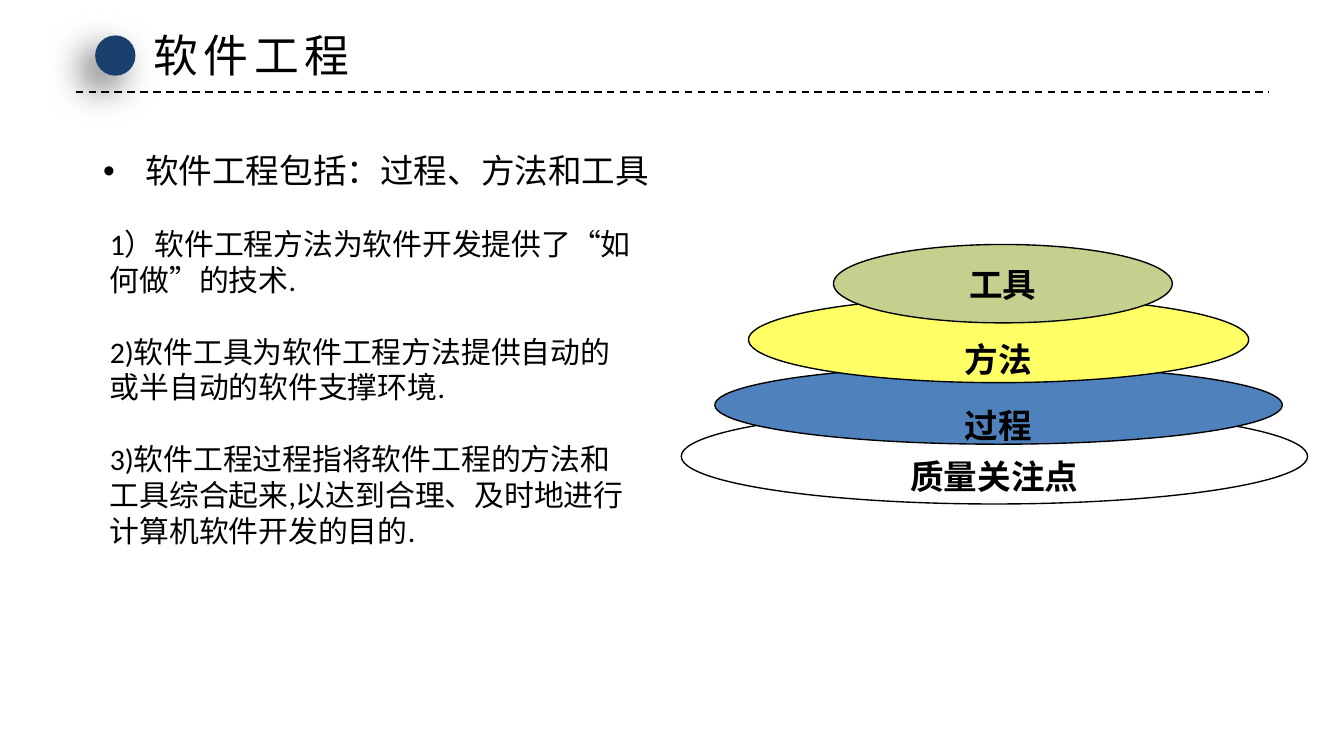
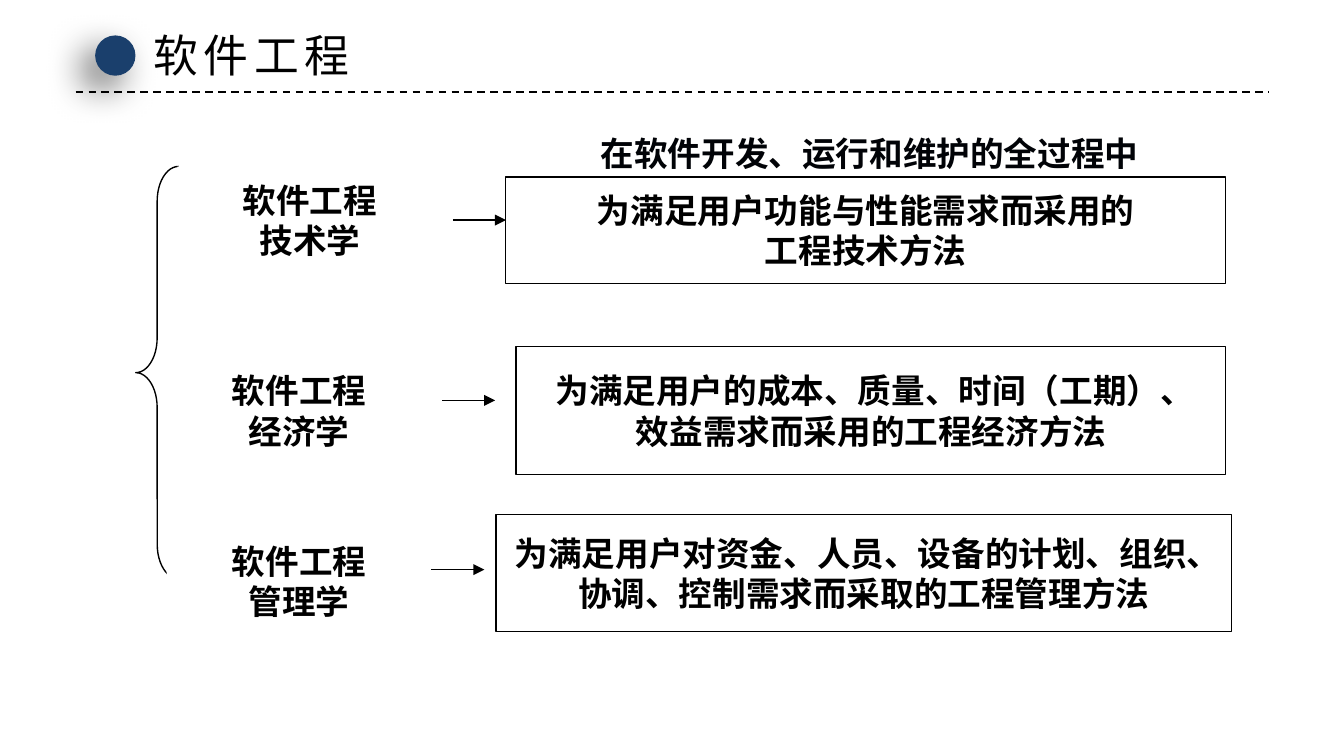
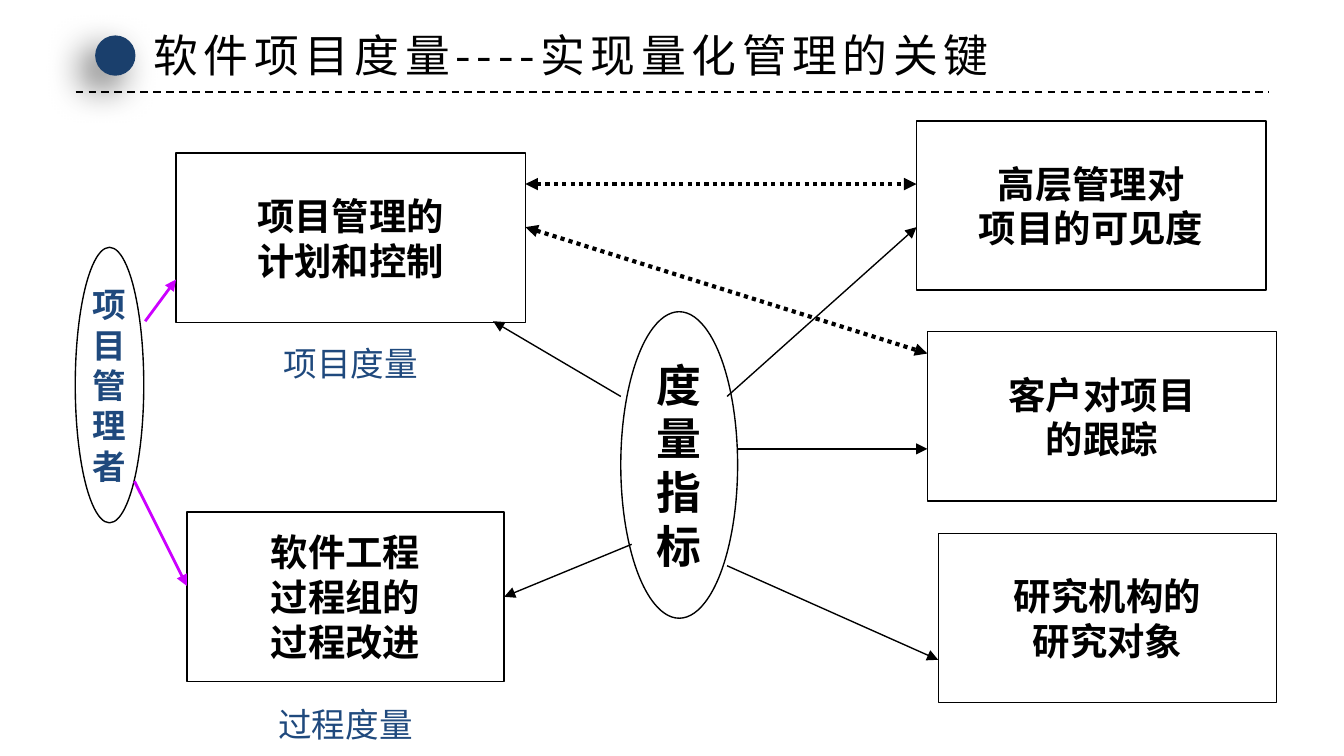
from lxml import etree
from pptx import Presentation
from pptx.dml.color import RGBColor
from pptx.enum.dml import MSO_LINE
from pptx.enum.shapes import MSO_CONNECTOR, MSO_SHAPE
from pptx.enum.text import MSO_ANCHOR, MSO_AUTO_SIZE, PP_ALIGN
from pptx.oxml.ns import qn
from pptx.util import Pt

OVAL, RECT, BRACE = MSO_SHAPE.OVAL, MSO_SHAPE.RECTANGLE, MSO_SHAPE.LEFT_BRACE
STRAIGHT = MSO_CONNECTOR.STRAIGHT
DASH, DOTS = MSO_LINE.DASH, MSO_LINE.ROUND_DOT
TOP, MIDDLE = MSO_ANCHOR.TOP, MSO_ANCHOR.MIDDLE
LEFT, CENTER, JUSTIFY = PP_ALIGN.LEFT, PP_ALIGN.CENTER, PP_ALIGN.JUSTIFY
GROW = MSO_AUTO_SIZE.SHAPE_TO_FIT_TEXT
TITLE_ONLY = 5
RIGHT_SIDE = 3

COLORS = {
    "black": "000000", "white": "FFFFFF", "ink": "010307", "navy": "1A3F6C",
    "label": "1F497D", "blue": "4F81BD", "yellow": "FFFF66",
    "olive": "C5D08E", "violet": "CC00FF",
}
NOTO, ARIAL, CALIBRI = "Noto Sans CJK SC", "Arial", "Calibri"


def color(name):
    return RGBColor.from_string(COLORS[name])


def within(box, part):
    """Turn a part's place inside the box into its place on the slide."""
    return (box[0] + part[0], box[1] + part[1], *part[2:])


def points(values):
    return [Pt(v) for v in values]


def write(frame, text, size, font, ink="black", bold=False, align=LEFT, gap=0):
    for i, line in enumerate(text.split("\n")):
        para = frame.paragraphs[0] if i == 0 else frame.add_paragraph()
        para.text = line
        para.alignment = align
        if i and gap:
            para.space_before = Pt(gap)
        para.font.size = Pt(size)
        para.font.name = font
        para.font.bold = bold
        para.font.color.rgb = color(ink)


def add_text(slide, place, text, size, font, wrap=True, **style):
    frame = slide.shapes.add_textbox(*points(place)).text_frame
    frame.word_wrap = wrap
    frame.auto_size = GROW
    write(frame, text, size, font, **style)
    return frame


def add_form(slide, kind, place, fill=None, edge="black"):
    form = slide.shapes.add_shape(kind, *points(place))
    form.shadow.inherit = False
    if fill:
        form.fill.solid()
        form.fill.fore_color.rgb = color(fill)
    else:
        form.fill.background()
    if edge:
        form.line.color.rgb = color(edge)
        form.line.width = Pt(0.75)
    else:
        form.line.fill.background()
    return form


def add_node(slide, kind, place, text, size, font, fill=None, edge="black",
             ink="black", bold=True):
    node = add_form(slide, kind, place, fill, edge)
    frame = node.text_frame
    frame.word_wrap = False
    frame.vertical_anchor = MIDDLE
    write(frame, text, size, font, ink, bold, CENTER)
    return node


def add_line(slide, start, end, ink="black", width=0.75, dash=None,
             heads=("tailEnd",)):
    line = slide.shapes.add_connector(STRAIGHT, *points((*start, *end)))
    line.line.color.rgb = color(ink)
    line.line.width = Pt(width)
    if dash:
        line.line.dash_style = dash
    props = line._element.spPr
    for head in heads:
        etree.SubElement(props.find(qn("a:ln")), qn("a:" + head), type="triangle")
    etree.SubElement(props, qn("a:effectLst"))
    return line


def add_dot(slide, place):
    dot = add_form(slide, OVAL, place, "navy", None)
    effects = dot._element.spPr.find(qn("a:effectLst"))
    shadow = etree.SubElement(
        effects, qn("a:outerShdw"), blurRad=str(Pt(20)), dist=str(Pt(10)),
        dir=str(135 * 60000), algn="tr", rotWithShape="0")
    shade = etree.SubElement(shadow, qn("a:srgbClr"), val=COLORS["black"])
    etree.SubElement(shade, qn("a:alpha"), val="60000")


def start_slide(deck, text, width):
    """Add a slide with the shared rule, dot and title."""
    slide = deck.slides.add_slide(deck.slide_layouts[TITLE_ONLY])
    add_line(slide, (40.5, 49.3), (679.5, 49.3), width=1, dash=DASH, heads=())
    add_dot(slide, (51, 19, 21.6, 21.6))
    title = slide.shapes.title
    title.left, title.top, title.width, title.height = points((75, 11, width, 36))
    frame = title.text_frame
    frame.word_wrap = False
    frame.auto_size = GROW
    frame.vertical_anchor = TOP
    write(frame, text, 24, NOTO)
    frame.paragraphs[0]._p.pPr.find(qn("a:defRPr")).set("spc", "300")
    return slide


def add_points(slide, box):
    lead = within(box, (0, 0, 623.5, 36.7))
    frame = slide.shapes.add_textbox(*points(lead)).text_frame
    frame.word_wrap = True
    frame.auto_size = GROW
    para = frame.paragraphs[0]
    para.line_spacing = 1.5
    props = para._p.get_or_add_pPr()
    props.set("marL", str(Pt(22.5)))
    props.set("indent", str(Pt(-22.5)))
    etree.SubElement(props, qn("a:buFont"), typeface=ARIAL)
    etree.SubElement(props, qn("a:buChar"), char="•")
    write(frame, "软件工程包括：过程、方法和工具", 18, NOTO, align=JUSTIFY)

    items = (
        "1）软件工程方法为软件开发提供了“如何做”的技术.\n"
        "2)软件工具为软件工程方法提供自动的或半自动的软件支撑环境.\n"
        "3)软件工程过程指将软件工程的方法和工具综合起来,"
        "以达到合理、及时地进行计算机软件开发的目的.")
    add_text(slide, within(box, (3.6, 51.2, 297.4, 181.4)), items, 16, CALIBRI,
             gap=19.2)


def add_layers(slide, box):
    layers = [
        ((0, 88, 335.5, 51), "质量关注点", None),
        ((18, 65, 304, 42), "过程", "blue"),
        ((36, 28, 268, 46), "方法", "yellow"),
        ((81.5, 0, 181.5, 42), "工具", "olive"),
    ]
    for part, text, fill in layers:
        layer = add_node(slide, OVAL, within(box, part), text, 18, ARIAL, fill)
        if text != "工具":  # covered layers show their name lower down
            layer.text_frame.margin_top = Pt(21)
            layer.text_frame.margin_bottom = 0


def add_fields(slide, box):
    """Brace on the left, then one row per field: label, arrow, meaning."""
    brace = add_form(slide, BRACE, within(box, (0, 21.5, 23, 221)))
    brace.adjustments[0] = 0.81
    rows = [
        ("技术学", (22.3, 21.5), (170, 50.2), (198, 27.2, 386, 57),
         "为满足用户功能与性能需求而采用的\n工程技术方法"),
        ("经济学", (16.5, 123.8), (164.2, 146.8), (203.8, 118, 380.2, 68.4),
         " 为满足用户的成本、质量、时间（工期）、\n效益需求而采用的工程经济方法"),
        ("管理学", (16.5, 215.2), (158.4, 237.5), (193, 208, 394, 62.6),
         " 为满足用户对资金、人员、设备的计划、组织、\n协调、控制需求而采取的工程管理方法"),
    ]
    for name, spot, start, part, meaning in rows:
        add_node(slide, RECT, within(box, (*spot, 142, 57)), "软件工程\n" + name,
                 18, NOTO, "white", None)
        add_node(slide, RECT, within(box, part), meaning, 18, NOTO)
        end = (start[0] + 28.4, start[1])
        add_line(slide, within(box, start), within(box, end))
    add_text(slide, within(box, (242, 0, 304.6, 28.8)),
             "在软件开发、运行和维护的全过程中", 18, NOTO, wrap=False,
             ink="ink", bold=True)


def add_metrics(slide, box):
    def node(kind, part, text, size=20, **style):
        return add_node(slide, kind, within(box, part), text, size, ARIAL,
                        "white", **style)

    def link(start, end, **style):
        return add_line(slide, within(box, start), within(box, end), **style)

    node(OVAL, (292.6, 103, 62.6, 164.2), "\n".join("度量指标"), 24)
    node(RECT, (54.3, 18, 187.2, 90.7), "项目管理的\n计划和控制")
    group = node(RECT, (60.1, 210.4, 170, 90.7), "软件工程\n过程组的\n过程改进")
    node(RECT, (451, 0.8, 187.2, 90.7), "高层管理对\n项目的可见度")
    node(RECT, (456.8, 113.8, 187.2, 90.7), "客户对项目\n的跟踪")
    node(RECT, (462.6, 221.8, 181.4, 90.7), "研究机构的\n研究对象")

    for start, end in [
        ((349.5, 148.4), (451, 57.7)),
        ((355.3, 176.5), (456.8, 176.5)),
        ((349.5, 239.1), (462.6, 289.5)),
        ((292.6, 148.4), (224.2, 108.1)),
    ]:
        link(start, end)
    link((298.4, 227.6), (230.1, 255.7)).end_connect(group, RIGHT_SIDE)
    for start, end in [
        ((241.5, 34.6), (451, 34.6)),
        ((241.5, 57.7), (456.8, 125.4)),
    ]:
        link(start, end, width=2.25, dash=DOTS, heads=("headEnd", "tailEnd"))

    node(OVAL, (0.3, 68.5, 36.7, 147.6), "\n".join("项目管理者"), 18, ink="label")
    for start, end in [
        ((37.8, 108.1), (54.3, 85.8)),
        ((32, 193.8), (60.1, 249.9)),
    ]:
        link(start, end, ink="violet", width=1.5)
    for spot, text in [((91, 113.8), "项目度量"), ((88.2, 306.8), "过程度量")]:
        node(RECT, (*spot, 113.8, 33.8), text, 18, edge=None, ink="label",
             bold=False)


def main():
    deck = Presentation()
    deck.slide_width, deck.slide_height = Pt(720), Pt(405)

    slide = start_slide(deck, "软件工程", 124)
    add_layers(slide, (365, 131))
    add_points(slide, (48.2, 66.2))

    slide = start_slide(deck, "软件工程", 124)
    add_fields(slide, (72.7, 67.7))

    slide = start_slide(deck, "软件项目度量----实现量化管理的关键", 477.4)
    add_metrics(slide, (40, 64))

    deck.save("out.pptx")


if __name__ == "__main__":
    main()
